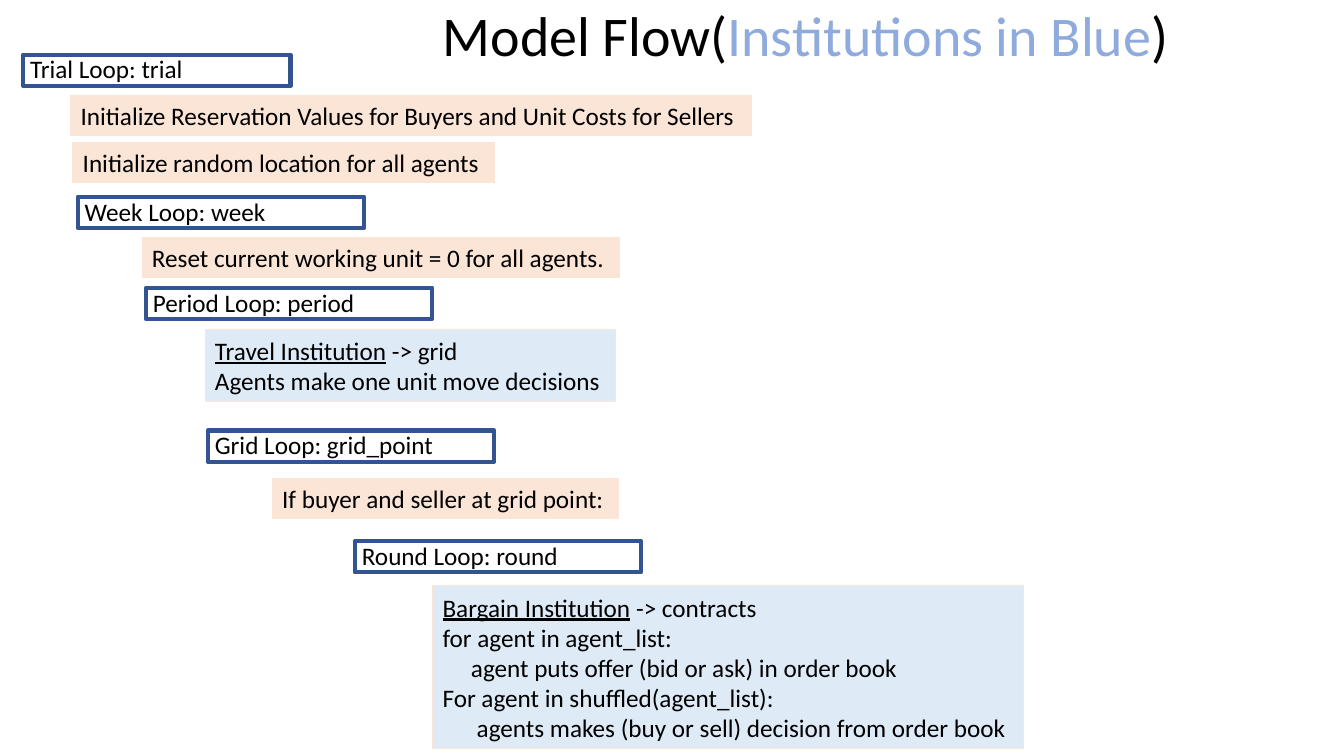
"""Build the model flow slide: nested loops, steps and institutions."""
from pptx import Presentation
from pptx.dml.color import RGBColor
from pptx.enum import shapes, text
from pptx.util import Pt


def write(par, words, size=18, color="000000", under=False):
    run = par.add_run()
    run.text = words
    font = run.font
    font.name, font.size, font.underline = "Calibri", Pt(size), under
    font.color.rgb = RGBColor.from_string(color)


def draw(x, y, w, h, fill, line, width):
    box = deck.shapes.add_shape(shapes.MSO_SHAPE.RECTANGLE, Pt(x), Pt(y), Pt(w), Pt(h))
    box.shadow.inherit = False
    if fill:
        box.fill.solid()
        box.fill.fore_color.rgb = RGBColor.from_string(fill)
    else:
        box.fill.background()
    box.line.color.rgb = RGBColor.from_string(line)
    box.line.width = Pt(width)
    frame = box.text_frame
    frame.word_wrap = False
    frame.vertical_anchor = text.MSO_ANCHOR.MIDDLE
    frame.paragraphs[0].alignment = text.PP_ALIGN.LEFT
    return frame


NAVY, PEACH, PALE, BLUE = "325491", "FBE5D6", "DEEBF7", "8FAADC"

prs = Presentation()
prs.slide_width, prs.slide_height = Pt(960), Pt(540)
deck = prs.slides.add_slide(prs.slide_layouts[5])

title = deck.shapes.title
title.left, title.top, title.width, title.height = Pt(309), Pt(-3.5), Pt(538.5), Pt(55.5)
frame = title.text_frame
frame.word_wrap = False
frame.auto_size = text.MSO_AUTO_SIZE.NONE
head = frame.paragraphs[0]
head.alignment = text.PP_ALIGN.LEFT
for words, color in [("Model Flow(", "000000"), ("Institutions in Blue", BLUE), (")", "000000")]:
    write(head, words, size=40, color=color)

loops = [
    (16.5, 39, 191, "Trial Loop: trial"),
    (55.5, 140.5, 204.5, "Week Loop: week"),
    (104.25, 205.5, 204.5, "Period Loop: period"),
    (148.5, 307.5, 204.5, "Grid Loop: grid_point"),
    (253.5, 386.5, 204.5, "Round Loop: round"),
]
for x, y, w, words in loops:
    frame = draw(x, y, w, 22.3, None, NAVY, 3)
    frame.margin_left = Pt(5)
    frame.margin_top, frame.margin_bottom = Pt(0), Pt(2)
    write(frame.paragraphs[0], words)

steps = [
    (50.5, 68, 486.5, "Initialize Reservation Values for Buyers and Unit Costs for Sellers"),
    (52, 101.5, 301, "Initialize random location for all agents"),
    (101.5, 169.5, 341, "Reset current working unit = 0 for all agents."),
    (194.5, 341.5, 247, "If buyer and seller at grid point:"),
]
for x, y, w, words in steps:
    frame = draw(x, y, w, 29, PEACH, PEACH, 0.75)
    write(frame.paragraphs[0], words)

rules = [
    (146.5, 235.5, 293, 51, "Travel Institution", " -> grid",
     [("Agents make one unit move decisions", 0)]),
    (309, 418.5, 422, 116.5, "Bargain Institution", " -> contracts",
     [("for agent in agent_list:", 0),
      ("agent puts offer (bid or ask) in order book", 20.3),
      ("For agent in shuffled(agent_list):", 0),
      ("agents makes (buy or sell) decision from order book", 24.4)]),
]
for x, y, w, h, name, result, lines in rules:
    frame = draw(x, y, w, h, PALE, PEACH, 0.75)
    write(frame.paragraphs[0], name, under=True)
    write(frame.paragraphs[0], result)
    for words, indent in lines:
        par = frame.add_paragraph()
        par.alignment = text.PP_ALIGN.LEFT
        par._p.get_or_add_pPr().set("marL", str(Pt(indent)))
        write(par, words)

prs.save("out.pptx")
